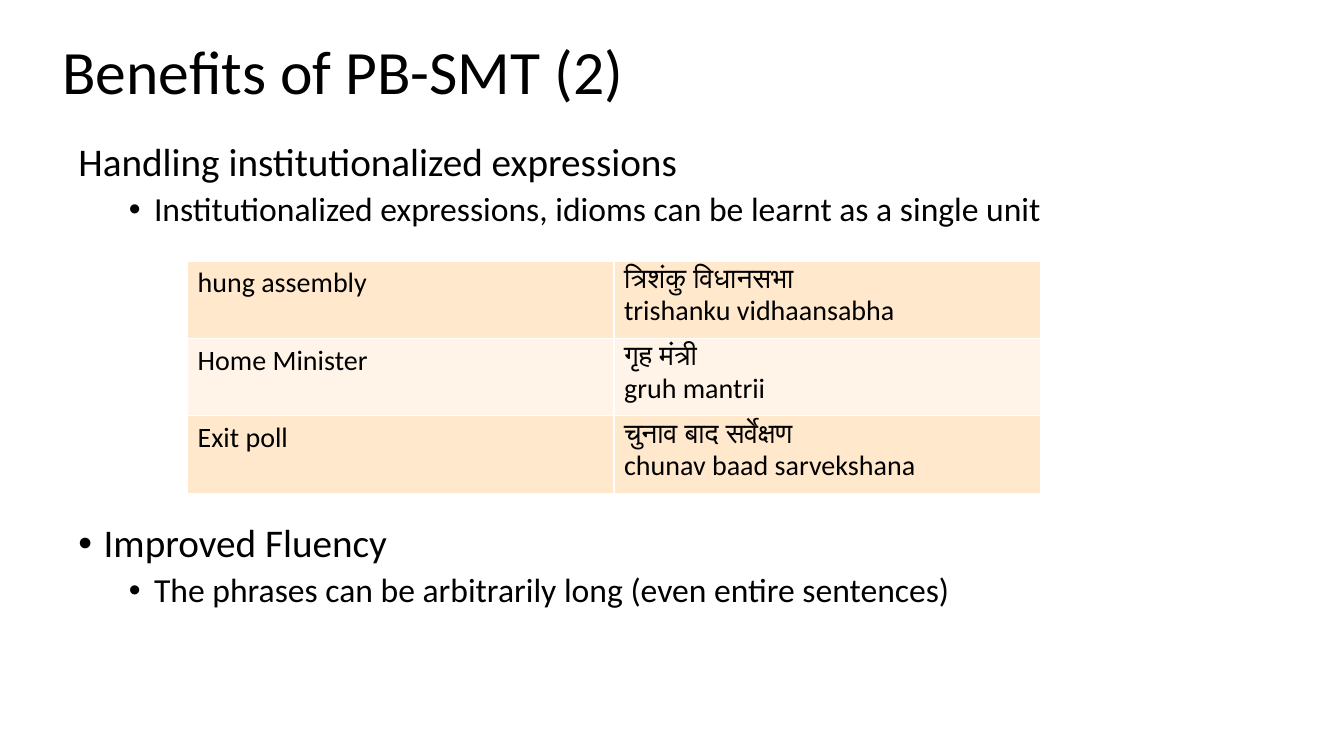
"""Build the slide on the benefits of phrase-based translation."""
from lxml import etree
from pptx import Presentation
from pptx.dml.color import RGBColor
from pptx.enum.text import MSO_ANCHOR, PP_ALIGN
from pptx.oxml.ns import qn
from pptx.util import Inches, Pt

FONT = "Calibri"
BLACK = "000000"
ROW_FILLS = ["FFE8CC", "FFF4E7"]
EXPRESSIONS = [
    ("hung assembly", "त्रिशंकु विधानसभा", "trishanku vidhaansabha"),
    ("Home Minister", "गृह मंत्री", "gruh mantrii"),
    ("Exit poll", "चुनाव बाद सर्वेक्षण", "chunav baad sarvekshana"),
]


def color(value):
    """Turn a hex string into a colour."""
    return RGBColor.from_string(value)


def add_run(p, text, size):
    """Add a black run to a paragraph."""
    r = p.add_run()
    r.text = text
    r.font.size = Pt(size)
    r.font.name = FONT
    r.font.color.rgb = color(BLACK)


def next_paragraph(tf, index):
    """Return the first paragraph of a frame, or a new one after it."""
    return tf.add_paragraph() if index else tf.paragraphs[0]


def add_bullet(p, indent):
    """Give a paragraph a hanging round bullet."""
    pPr = p._p.get_or_add_pPr()
    pPr.set("marL", str(Inches(indent)))
    pPr.set("indent", str(Inches(-0.25)))
    etree.SubElement(pPr, qn("a:buFont")).set("typeface", "Arial")
    etree.SubElement(pPr, qn("a:buChar")).set("char", "•")


def set_title(s, text):
    """Place and fill the title."""
    title = s.shapes.title
    title.left, title.top = Inches(0.52), Inches(0.28)
    title.width, title.height = Inches(12.38), Inches(0.92)
    tf = title.text_frame
    tf.vertical_anchor = MSO_ANCHOR.MIDDLE
    p = tf.paragraphs[0]
    p.alignment = PP_ALIGN.LEFT
    p.line_spacing = 0.9
    add_run(p, text, 44)


def add_point(s, top, heading, detail, bulleted):
    """Add a heading with one bulleted detail below it."""
    box = s.shapes.add_textbox(Inches(0.68), Inches(top), Inches(11.5), Inches(0.98))
    tf = box.text_frame
    tf.word_wrap = True
    lines = [(heading, 28, 0.25 if bulleted else None), (detail, 24, 0.75)]
    for i, (text, size, indent) in enumerate(lines):
        p = next_paragraph(tf, i)
        p.line_spacing = 0.9
        if i:
            p.space_before = Pt(5)
        if indent:
            add_bullet(p, indent)
        add_run(p, text, size)


def fill_cell(cell, lines, fill):
    """Fill a cell with a colour and one paragraph per line."""
    cell.fill.solid()
    cell.fill.fore_color.rgb = color(fill)
    for i, text in enumerate(lines):
        add_run(next_paragraph(cell.text_frame, i), text, 20)


def add_expressions(s):
    """Add the table of English expressions and their translations."""
    table = s.shapes.add_table(len(EXPRESSIONS), 2, Inches(1.86), Inches(2.59),
                               Inches(8.46), Inches(2.16)).table
    table.first_row = False
    table.horz_banding = False
    for i, (english, *hindi) in enumerate(EXPRESSIONS):
        fill = ROW_FILLS[i % 2]
        fill_cell(table.cell(i, 0), [english], fill)
        fill_cell(table.cell(i, 1), hindi, fill)


def main():
    """Build and save the slide."""
    prs = Presentation()
    prs.slide_width, prs.slide_height = Inches(13.33), Inches(7.5)
    s = prs.slides.add_slide(prs.slide_layouts[5])
    set_title(s, "Benefits of PB-SMT (2)")
    add_point(s, 1.37, "Handling institutionalized expressions",
              "Institutionalized expressions, idioms can be learnt as a single unit", False)
    add_expressions(s)
    add_point(s, 5.15, "Improved Fluency",
              "The phrases can be arbitrarily long (even entire sentences)", True)
    prs.save("out.pptx")


if __name__ == "__main__":
    main()
